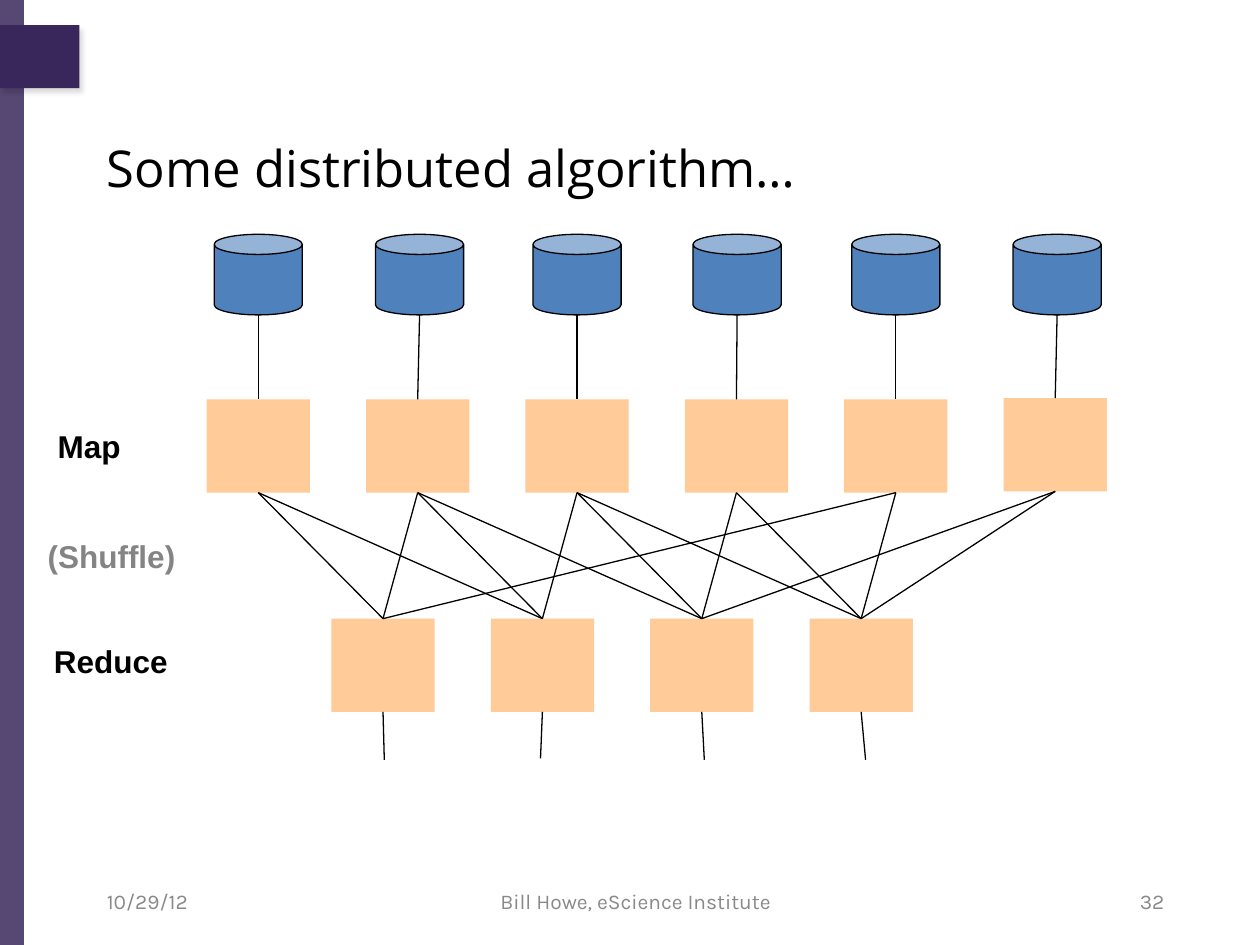
from lxml import etree
from pptx import Presentation
from pptx import util as u
from pptx.dml.color import RGBColor
from pptx.enum import shapes, text
from pptx.oxml import ns

PURPLE = RGBColor(0x39, 0x27, 0x5B)
PEACH = RGBColor(0xFF, 0xCC, 0x99)
BLUE = RGBColor(0x4F, 0x81, 0xBD)
BLACK = RGBColor(0, 0, 0)
GRAY = RGBColor(0x84, 0x84, 0x84)
FOOTER_GRAY = RGBColor(0x89, 0x89, 0x89)

TITLE = {"name": "Open Sans", "size": u.Pt(29)}
LABEL = {"name": "Arial", "size": u.Pt(18), "bold": True}
FOOTER = {"name": "Karla", "size": u.Pt(12)}

PITCH = 1.265
BOX_WIDTH, BOX_HEIGHT = 0.82, 0.74
MAP_TOPS = [3.17] * 5 + [3.16]
MAP_CENTERS = [2.05 + PITCH * i for i in range(6)]
REDUCE_TOP = 4.91
REDUCE_CENTERS = [3.04 + PITCH * i for i in range(4)]
CAN_WIDTH, CAN_HEIGHT, CAN_TOP = 0.7, 0.64, 1.86
CAN_CENTERS = [2.05, 3.33, 4.58, 5.85, 7.11, 8.39]
# Reducers fed by each mapper
SHUFFLE = [(0, 1), (0, 1, 2), (1, 2, 3), (2, 3), (0, 3), (2, 3)]
OUTPUT_ENDS = [(3.05, 6.03), (4.29, 6.02), (5.59, 6.03), (6.87, 6.03)]


class SlideBuilder:
    """Draws styled elements on the current slide; lengths are in inches."""

    line_color = BLACK
    line_width = u.Pt(0.75)

    def __init__(self, slide):
        self.slide = slide

    def shape(self, preset, left, top, width, height, color, outlined=False):
        shape = self.slide.shapes.add_shape(
            preset, *map(u.Inches, (left, top, width, height)))
        shape.shadow.inherit = False
        shape.fill.solid()
        shape.fill.fore_color.rgb = color
        if outlined:
            self.style_line(shape)
        else:
            shape.line.fill.background()
        return shape

    def style_line(self, element):
        element.line.color.rgb = self.line_color
        element.line.width = self.line_width

    def line(self, start, end):
        connector = self.slide.shapes.add_connector(
            shapes.MSO_CONNECTOR.STRAIGHT, *map(u.Inches, (*start, *end)))
        self.style_line(connector)
        etree.SubElement(connector._element.spPr, ns.qn("a:effectLst"))

    def text(self, wording, left, top, width, height, style, color,
             align=text.PP_ALIGN.LEFT, anchor=text.MSO_ANCHOR.MIDDLE):
        box = self.slide.shapes.add_textbox(
            *map(u.Inches, (left, top, width, height)))
        frame = box.text_frame
        frame.word_wrap = True
        frame.vertical_anchor = anchor
        paragraph = frame.paragraphs[0]
        paragraph.text = wording
        paragraph.alignment = align
        for name, value in style.items():
            setattr(paragraph.font, name, value)
        paragraph.font.color.rgb = color

    def transparency(self, shape, opacity):
        color = shape._element.spPr.find(".//" + ns.qn("a:srgbClr"))
        etree.SubElement(color, ns.qn("a:alpha"), val=str(opacity * 1000))

    def soft_shadow(self, shape, opacity, blur, distance, angle):
        effects = shape._element.spPr.find(ns.qn("a:effectLst"))
        shadow = etree.SubElement(
            effects, ns.qn("a:outerShdw"), blurRad=str(u.Pt(blur)),
            dist=str(u.Pt(distance)), dir=str(angle * 60000))
        color = etree.SubElement(shadow, ns.qn("a:srgbClr"), val="000000")
        etree.SubElement(color, ns.qn("a:alpha"), val=str(opacity * 1000))


def draw_frame(builder):
    rectangle = shapes.MSO_SHAPE.RECTANGLE
    side_bar = builder.shape(rectangle, 0, 0, 0.19, 7.5, PURPLE)
    builder.transparency(side_bar, 85)
    tab = builder.shape(rectangle, 0, 0.2, 0.63, 0.5, PURPLE)
    builder.soft_shadow(tab, opacity=15, blur=3, distance=3, angle=60)
    footers = [
        ("10/29/12", 0.75, 2.33, text.PP_ALIGN.LEFT),
        ("Bill Howe, eScience Institute", 3.46, 3.17, text.PP_ALIGN.CENTER),
        ("32", 7.01, 2.33, text.PP_ALIGN.RIGHT),
    ]
    for wording, left, width, align in footers:
        builder.text(wording, left, 6.95, width, 0.4, FOOTER, FOOTER_GRAY, align)
    builder.text("Some distributed algorithm…", 0.75, 0.83, 8.59, 1, TITLE, BLACK)


def draw_diagram(builder):
    reduce_tops = [REDUCE_TOP] * len(REDUCE_CENTERS)
    boxes = [*zip(MAP_CENTERS, MAP_TOPS), *zip(REDUCE_CENTERS, reduce_tops)]
    for center, top in boxes:
        builder.shape(shapes.MSO_SHAPE.RECTANGLE, center - BOX_WIDTH / 2, top,
                      BOX_WIDTH, BOX_HEIGHT, PEACH)

    for center, top, reducers in zip(MAP_CENTERS, MAP_TOPS, SHUFFLE):
        for reducer in reducers:
            builder.line((center, top + BOX_HEIGHT),
                         (REDUCE_CENTERS[reducer], REDUCE_TOP))

    for can_center, center, top in zip(CAN_CENTERS, MAP_CENTERS, MAP_TOPS):
        builder.line((can_center, CAN_TOP + CAN_HEIGHT), (center, top))
        builder.shape(shapes.MSO_SHAPE.CAN, can_center - CAN_WIDTH / 2, CAN_TOP,
                      CAN_WIDTH, CAN_HEIGHT, BLUE, outlined=True)

    for center, end in zip(REDUCE_CENTERS, OUTPUT_ENDS):
        builder.line((center, REDUCE_TOP + BOX_HEIGHT), end)

    stages = [
        ("Map", 0.36, 3.34, 1.01, BLACK),
        ("(Shuffle)", 0.28, 4.21, 1.58, GRAY),
        ("Reduce", 0.33, 5.05, 1.3, BLACK),
    ]
    for wording, left, top, width, color in stages:
        builder.text(wording, left, top, width, 0.5, LABEL, color,
                     anchor=text.MSO_ANCHOR.TOP)


def main():
    presentation = Presentation()
    presentation.slide_width = u.Inches(10)
    presentation.slide_height = u.Inches(7.5)
    slide = presentation.slides.add_slide(presentation.slide_layouts[6])
    builder = SlideBuilder(slide)
    draw_frame(builder)
    draw_diagram(builder)
    presentation.save("out.pptx")


if __name__ == "__main__":
    main()
